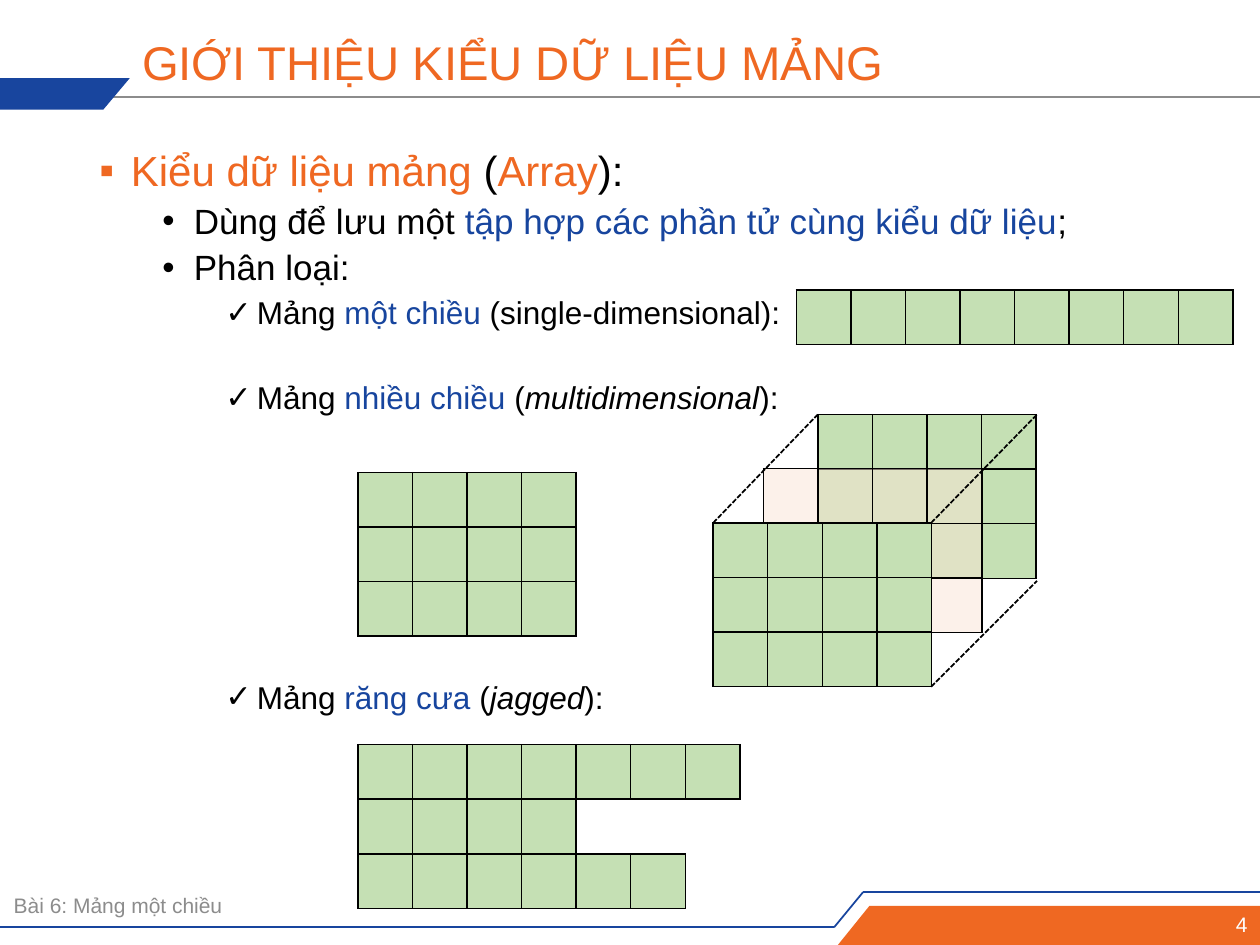
import pptx
import pptx.dml.color
import pptx.enum.dml
import pptx.enum.shapes
import pptx.enum.text
import pptx.oxml.ns
import pptx.util
from dataclasses import dataclass
from lxml import etree

Inches = pptx.util.Inches
Pt = pptx.util.Pt
qn = pptx.oxml.ns.qn
ALIGN = pptx.enum.text.PP_ALIGN


@dataclass(frozen=True)
class Theme:
    font: str = "Arial"
    orange: str = "EF6822"
    blue: str = "18459E"
    accent: str = "17459E"
    black: str = "000000"
    white: str = "FFFFFF"
    grey: str = "8C8C8C"
    green: str = "C5E0B4"
    pink: str = "FBE5D6"
    title_size: int = 27
    level_sizes: tuple = (24, 20, 18)
    footer_size: int = 12


THEME = Theme()
CELL = 1.3 / 3  # side of one array element, in inches
SIDES = {"a:lnL": (0, -1), "a:lnR": (0, 1), "a:lnT": (-1, 0), "a:lnB": (1, 0)}


def rgb(colour):
    return pptx.dml.color.RGBColor.from_string(colour)


def style_run(run, size, colour, italic=False):
    run.font.name = THEME.font
    run.font.size = Pt(size)
    run.font.color.rgb = rgb(colour)
    run.font.italic = italic


def add_box(slide, left, top, width, height):
    box = slide.shapes.add_textbox(*map(Inches, (left, top, width, height)))
    box.text_frame.word_wrap = True
    return box.text_frame


def add_label(slide, place, text, size, colour, align=ALIGN.LEFT):
    frame = add_box(slide, *place)
    frame.vertical_anchor = pptx.enum.text.MSO_ANCHOR.MIDDLE
    frame.text = text
    paragraph = frame.paragraphs[0]
    paragraph.alignment = align
    paragraph.line_spacing = 0.9
    style_run(paragraph.runs[0], size, colour)


def add_bullet(paragraph, level, mark, space_before, pieces):
    properties = paragraph._p.get_or_add_pPr()
    properties.set("marL", str(Inches(0.25 + 0.5 * level)))
    properties.set("indent", str(Inches(-0.25)))
    etree.SubElement(properties, qn("a:buFont")).set("typeface", THEME.font)
    etree.SubElement(properties, qn("a:buChar")).set("char", mark)
    paragraph.level = level
    paragraph.alignment = ALIGN.JUSTIFY
    paragraph.line_spacing = 0.9
    paragraph.space_before = Pt(space_before)
    for text, colour, *italic in pieces:
        run = paragraph.add_run()
        run.text = text
        style_run(run, THEME.level_sizes[level], colour, bool(italic))


def add_line(slide, start, end, colour, width=1, dashed=False):
    line = slide.shapes.add_connector(
        pptx.enum.shapes.MSO_CONNECTOR.STRAIGHT, *map(Inches, (*start, *end)))
    line.line.color.rgb = rgb(colour)
    line.line.width = Pt(width)
    if dashed:
        line.line.dash_style = pptx.enum.dml.MSO_LINE.SQUARE_DOT
    etree.SubElement(line._element.spPr, qn("a:effectLst"))


def add_polygon(slide, points, colour):
    builder = slide.shapes.build_freeform(*map(Inches, points[0]), scale=1.0)
    builder.add_line_segments([tuple(map(Inches, p)) for p in points[1:]], close=True)
    shape = builder.convert_to_shape()
    shape.shadow.inherit = False
    shape.fill.solid()
    shape.fill.fore_color.rgb = rgb(colour)
    shape.line.fill.background()


def add_border(cell, side, visible):
    border = etree.SubElement(cell._tc.get_or_add_tcPr(), qn(side))
    border.set("w", str(Pt(1)))
    if visible:
        fill = etree.SubElement(border, qn("a:solidFill"))
        etree.SubElement(fill, qn("a:srgbClr")).set("val", THEME.black)
    else:
        etree.SubElement(border, qn("a:noFill"))


def add_array(slide, left, top, row_lengths, colour=THEME.green, opacity=100):
    """Draw an array as a table; each row holds its own number of elements."""
    rows, columns = len(row_lengths), max(row_lengths)
    table = slide.shapes.add_table(
        rows, columns, Inches(left), Inches(top),
        Inches(columns * CELL), Inches(rows * CELL)).table
    table.first_row = table.horz_banding = False
    for line in (*table.rows, ):
        line.height = Inches(CELL)
    for line in (*table.columns, ):
        line.width = Inches(CELL)

    def is_element(row, column):
        return 0 <= row < rows and 0 <= column < row_lengths[row]

    for row in range(rows):
        for column in range(columns):
            cell = table.cell(row, column)
            filled = is_element(row, column)
            for side, (down, right) in SIDES.items():
                add_border(cell, side, filled or is_element(row + down, column + right))
            if not filled:
                cell.fill.background()
                continue
            cell.fill.solid()
            cell.fill.fore_color.rgb = rgb(colour)
            if opacity < 100:
                tint = cell._tc.tcPr.find(qn("a:solidFill"))[0]
                etree.SubElement(tint, qn("a:alpha")).set("val", str(opacity * 1000))


def add_frame(slide):
    # Header rule and tab
    add_line(slide, (0.72, 0.77), (10, 0.77), THEME.grey, 0.75)
    add_polygon(slide, [(0.82, 0.87), (-0.02, 0.87), (-0.02, 0.62), (1.03, 0.62)], THEME.blue)
    # Footer rule and page number band
    rule = [(0, 7.36), (6.62, 7.36), (6.85, 7.08), (10, 7.08)]
    for start, end in zip(rule, rule[1:]):
        add_line(slide, start, end, THEME.blue)
    add_polygon(slide, [(6.9, 7.19), (10.02, 7.19), (10.02, 7.5), (6.65, 7.5)], THEME.orange)
    add_label(slide, (0.01, 7.04, 6.59, 0.31), "Bài 6: Mảng một chiều",
              THEME.footer_size, THEME.grey)
    add_label(slide, (7.91, 7.21, 2.09, 0.28), "4",
              THEME.footer_size, THEME.white, ALIGN.RIGHT)


def add_outline(slide):
    black, orange, accent = THEME.black, THEME.orange, THEME.accent
    # Level, mark, space before, coloured pieces of text
    points = [
        (0, "▪", 0, [("Kiểu dữ liệu mảng ", orange), ("(", black),
                     ("Array", orange), ("):", black)]),
        (1, "•", 5, [("Dùng để lưu một ", black),
                     ("tập hợp các phần tử cùng kiểu dữ liệu", accent), (";", black)]),
        (1, "•", 5, [("Phân loại:", black)]),
        (2, "✓", 5, [("Mảng ", black), ("một chiều ", accent),
                     ("(single-dimensional):", black)]),
        (2, "✓", 29.5, [("Mảng ", black), ("nhiều chiều ", accent), ("(", black),
                        ("multidimensional", black, True), ("):", black)]),
        (2, "✓", 151.5, [("Mảng ", black), ("răng cưa ", accent), ("(", black),
                         ("jagged", black, True), ("):", black)]),
    ]
    frame = add_box(slide, 0.69, 1.14, 8.62, 5.61)
    for index, point in enumerate(points):
        paragraph = frame.add_paragraph() if index else frame.paragraphs[0]
        add_bullet(paragraph, *point)


def add_arrays(slide):
    grid = [4, 4, 4]
    # One and two dimensions
    add_array(slide, 6.32, 2.3, [8])
    add_array(slide, 2.84, 3.75, grid)
    # Three dimensions: back, middle and front layers with depth edges
    add_array(slide, 6.49, 3.29, grid)
    add_array(slide, 6.06, 3.72, grid, THEME.pink, 50)
    add_array(slide, 5.66, 4.15, grid)
    for front, back in [((5.66, 4.15), (6.49, 3.29)),
                        ((7.39, 4.15), (8.23, 3.29)),
                        ((7.39, 5.45), (8.23, 4.61))]:
        add_line(slide, front, back, THEME.black, dashed=True)
    # Jagged
    add_array(slide, 2.84, 5.91, [7, 4, 6])


def main():
    deck = pptx.Presentation()
    deck.slide_width, deck.slide_height = Inches(10), Inches(7.5)
    slide = deck.slides.add_slide(deck.slide_layouts[6])
    add_frame(slide)
    add_label(slide, (1.03, 0.25, 8.28, 0.53), "GIỚI THIỆU KIỂU DỮ LIỆU MẢNG",
              THEME.title_size, THEME.orange)
    add_outline(slide)
    add_arrays(slide)
    deck.save("out.pptx")


if __name__ == "__main__":
    main()
